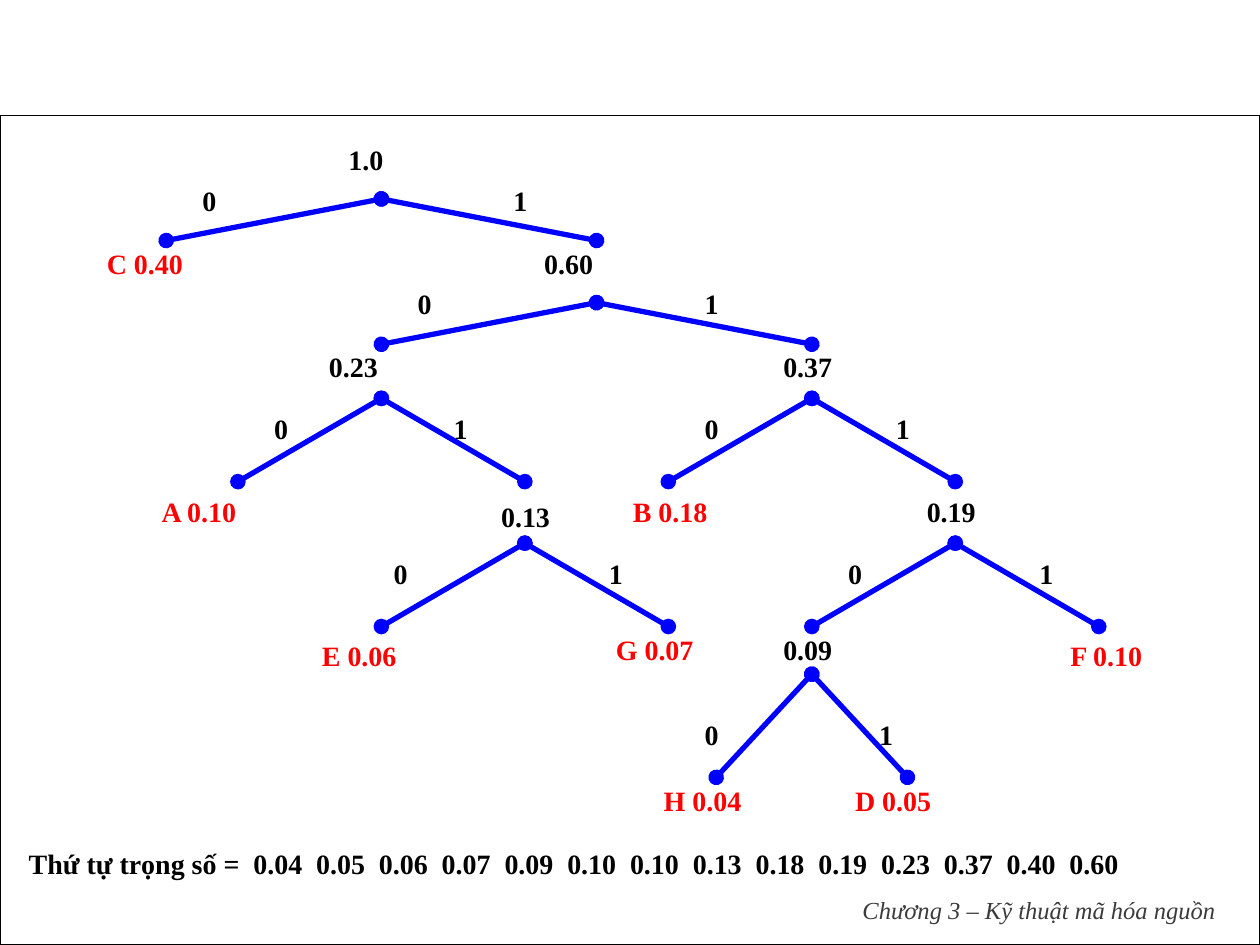
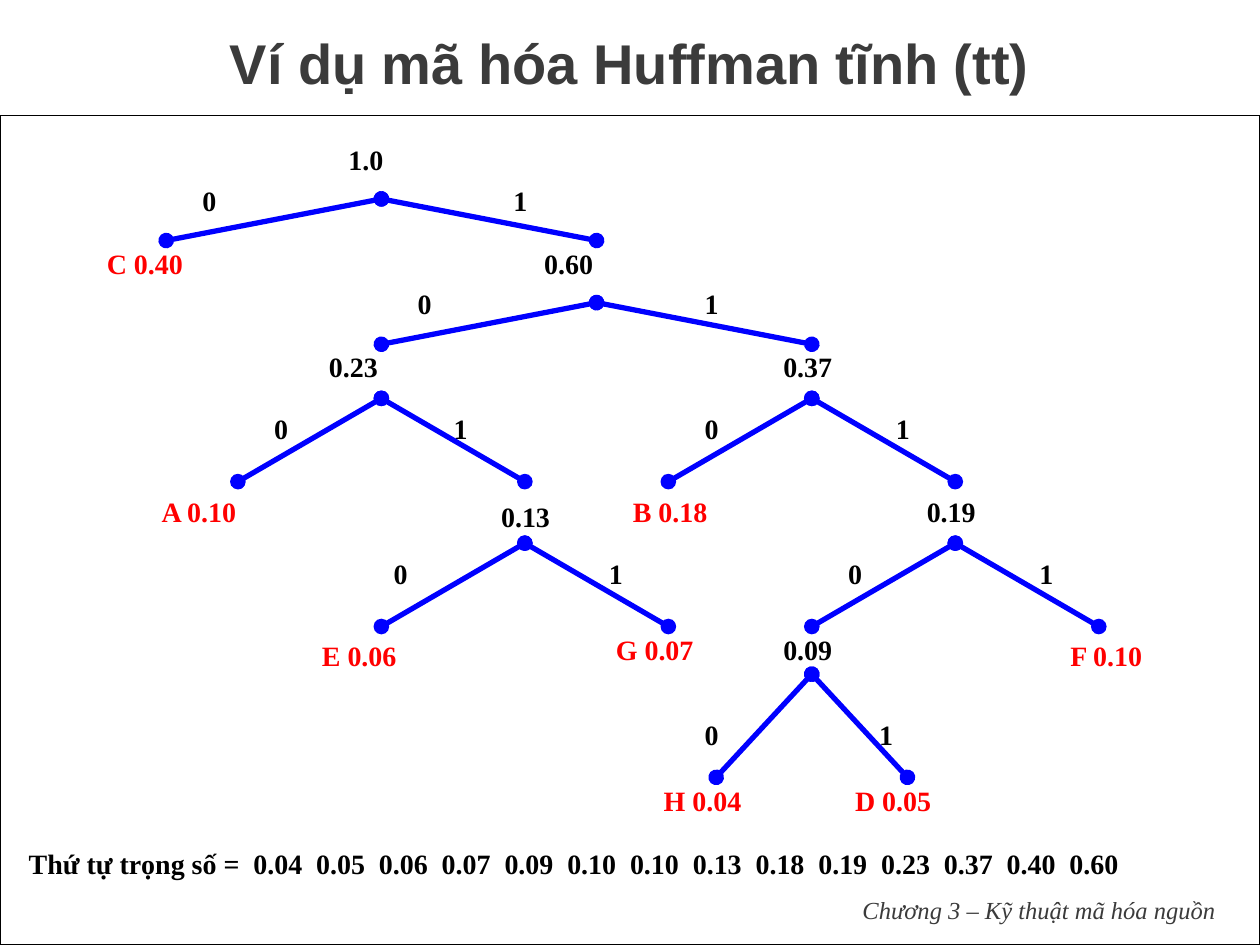
from dataclasses import dataclass

from lxml import etree
from pptx import Presentation
from pptx.dml.color import RGBColor
from pptx.enum import shapes, text
from pptx.oxml import ns
from pptx.util import Cm, Pt

# Shared look
WHITE = RGBColor(0xFF, 0xFF, 0xFF)
BLACK = RGBColor(0x00, 0x00, 0x00)
RED = RGBColor(0xFF, 0x00, 0x00)
BLUE = RGBColor(0x00, 0x00, 0xFF)
GRAY = RGBColor(0x3B, 0x3B, 0x3B)
SERIF, SANS = "Times New Roman", "Arial"
WIDE, HIGH = Cm(25.4), Cm(19.05)
PAD, SHIFT = Cm(0.25), Cm(0.14)

# The tree stands on a grid of narrow columns
START, STEP = Cm(3.35), Cm(18.8) / 39

TITLE = "Ví dụ mã hóa Huffman tĩnh (tt)"
FOOTER = "Chương 3 – Kỹ thuật mã hóa nguồn"
ORDER = "Thứ tự trọng số ="
WEIGHTS = ("0.04 0.05 0.06 0.07 0.09 0.10 0.10 "
           "0.13 0.18 0.19 0.23 0.37 0.40 0.60").split()


@dataclass(frozen=True)
class Label:
    words: str
    col: float
    top: float
    cols: float
    tall: float
    color: RGBColor = BLACK
    shift: bool = True


@dataclass(frozen=True)
class Fork:
    """Two branches from one node, with the bit boxes as (column, columns)."""
    col: float
    top: float
    span: float
    drop: float
    bits: float
    zero: tuple[float, float]
    one: tuple[float, float]


LABELS = [
    Label("D 0.05", 28, 15.67, 7, 0.84, RED),
    Label("1.0", 7.1, 2.75, 6, 1.68, shift=False),
    Label("H 0.04", 20, 15.67, 7, 0.84, RED),
    Label("F 0.10", 37, 12.75, 7, 1.1, RED),
    Label("0.09", 25, 12.62, 4, 1.1),
    Label("0.19", 31, 9.85, 7, 1.1),
    Label("B 0.18", 19, 9.85, 7, 1.1, RED, False),
    Label("G 0.07", 18, 12.62, 5, 1.25, RED),
    Label("E 0.06", 6, 12.75, 5, 1.1, RED, False),
    Label("0.13", 13.2, 9.95, 4.8, 1.1),
    Label("A 0.10", -1, 9.85, 7, 1.1, RED),
    Label("0.23", 6, 6.93, 5, 1.68),
    Label("0.37", 25, 6.93, 7, 1.68),
    Label("0.60", 15, 4.85, 7, 1.68),
    Label("C 0.40", -3, 4.85, 7, 1.68, RED, False),
]

FORKS = [
    Fork(9, 4.01, 9, 0.84, 3.58, (1, 5), (14, 5)),
    Fork(18, 6.1, 9, 0.84, 5.66, (10, 5), (22, 5)),
    Fork(27, 13.59, 4, 2.08, 14.35, (22, 3), (29.3, 3.7)),
    Fork(27, 8.03, 6, 1.68, 8.18, (22, 5), (30, 5)),
    Fork(9, 8.03, 6, 1.68, 8.18, (4, 3), (11.5, 3)),
    Fork(15, 10.95, 6, 1.68, 11.1, (9, 5), (18, 3)),
    Fork(33, 10.95, 6, 1.68, 11.1, (28, 5), (36, 3)),
]


def col_x(col: float) -> int:
    return round(START + col * STEP)


def add_run(para, words: str, color: RGBColor, size: int = 16,
            face: str = SERIF, bold: bool = True, slant: bool = False) -> None:
    run = para.add_run()
    run.text = words
    font = run.font
    font.name, font.size = face, Pt(size)
    font.bold, font.italic = bold, slant
    font.color.rgb = color


def add_box(slide, left: int, top: int, wide: int, tall: int):
    box = slide.shapes.add_shape(shapes.MSO_SHAPE.RECTANGLE, left, top, wide, tall)
    box.shadow.inherit = False
    box.fill.solid()
    box.fill.fore_color.rgb = WHITE
    box.line.fill.background()
    frame = box.text_frame
    frame.word_wrap = True
    frame.vertical_anchor = text.MSO_ANCHOR.TOP
    frame.paragraphs[0].alignment = text.PP_ALIGN.LEFT
    return box


def add_label(slide, label: Label) -> None:
    box = add_box(slide, col_x(label.col), Cm(label.top),
                  round(label.cols * STEP), Cm(label.tall))
    frame = box.text_frame
    frame.margin_left = PAD + (SHIFT if label.shift else 0)
    add_run(frame.paragraphs[0], label.words, label.color)


def add_bits(slide, fork: Fork) -> None:
    for bit, (col, cols) in (("0", fork.zero), ("1", fork.one)):
        add_label(slide, Label(bit, col, fork.bits, cols, 1.25, shift=False))


def add_fork(slide, fork: Fork) -> None:
    for side in (-1, 1):
        line = slide.shapes.add_connector(
            shapes.MSO_CONNECTOR.STRAIGHT, col_x(fork.col), Cm(fork.top),
            col_x(fork.col + side * fork.span), Cm(fork.top + fork.drop))
        line.line.color.rgb = BLUE
        line.line.width = Pt(3)
        # Round dots at both ends, no shadow
        stroke = line.line._get_or_add_ln()
        for end in ("a:headEnd", "a:tailEnd"):
            etree.SubElement(stroke, ns.qn(end), type="oval")
        etree.SubElement(line._element.spPr, ns.qn("a:effectLst"))


def add_order(slide) -> None:
    box = add_box(slide, Cm(0.33), Cm(16.94), Cm(24.64), Cm(0.76))
    para = box.text_frame.paragraphs[0]
    tabs = etree.SubElement(para._p.get_or_add_pPr(), ns.qn("a:tabLst"))
    for i in range(len(WEIGHTS)):
        etree.SubElement(tabs, ns.qn("a:tab"), algn="l",
                         pos=str(Cm(4.53) + round(i * Cm(16.45) / 13)))
    add_run(para, ORDER, BLACK)
    for weight in WEIGHTS:
        add_run(para, "\t" + weight, BLACK)


def add_footer(slide) -> None:
    box = slide.shapes.add_textbox(Cm(0.63), Cm(17.83), Cm(24.13), Cm(1.02))
    frame = box.text_frame
    frame.word_wrap = True
    frame.vertical_anchor = text.MSO_ANCHOR.MIDDLE
    frame.paragraphs[0].alignment = text.PP_ALIGN.RIGHT
    add_run(frame.paragraphs[0], FOOTER, GRAY, 14, bold=False, slant=True)


def set_title(slide) -> None:
    title = slide.shapes.title
    title.left, title.top, title.width, title.height = 0, Cm(0.2), WIDE, Cm(2.11)
    frame = title.text_frame
    frame.word_wrap = True
    frame.vertical_anchor = text.MSO_ANCHOR.MIDDLE
    frame.paragraphs[0].alignment = text.PP_ALIGN.CENTER
    add_run(frame.paragraphs[0], TITLE, GRAY, 32, SANS)


def draw_tree(slide) -> None:
    # Framed panel
    panel = add_box(slide, 0, Cm(2.33), WIDE, HIGH - Cm(2.33))
    panel.line.color.rgb = BLACK
    panel.line.width = Pt(0.75)
    # Labels lie below the branches
    add_order(slide)
    for label in LABELS:
        add_label(slide, label)
    for fork in FORKS:
        add_bits(slide, fork)
    for fork in FORKS:
        add_fork(slide, fork)
    add_footer(slide)


def main() -> None:
    deck = Presentation()
    deck.slide_width, deck.slide_height = WIDE, HIGH
    plain, titled = deck.slide_layouts[6], deck.slide_layouts[5]

    # Tree alone
    draw_tree(deck.slides.add_slide(plain))

    # Tree under a title
    slide = deck.slides.add_slide(titled)
    set_title(slide)
    draw_tree(slide)

    deck.save("out.pptx")


if __name__ == "__main__":
    main()
